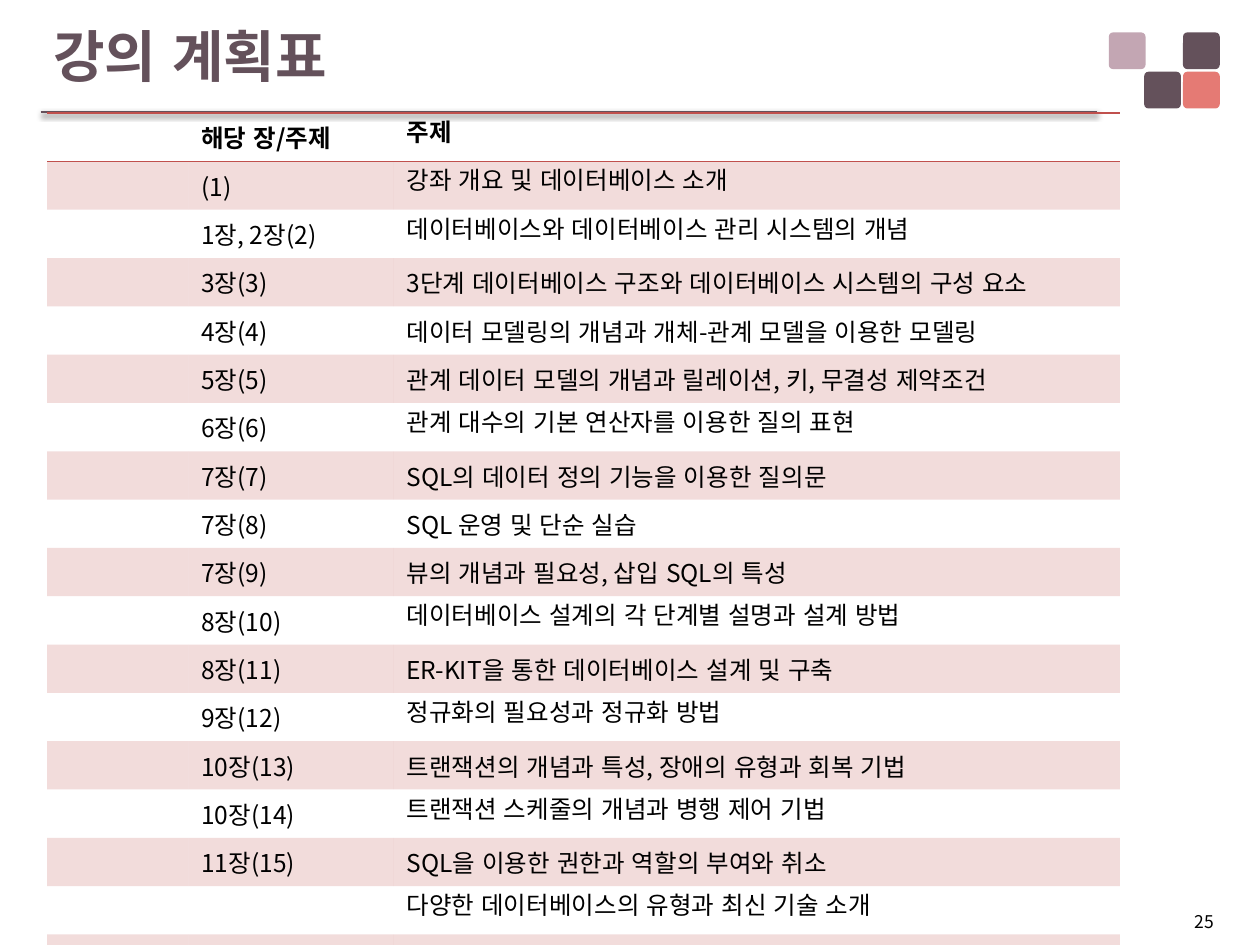
from lxml import etree
from pptx import Presentation
from pptx.dml.color import RGBColor
from pptx.enum.shapes import MSO_CONNECTOR, MSO_SHAPE
from pptx.enum.text import MSO_ANCHOR, PP_ALIGN
from pptx.oxml import parse_xml
from pptx.oxml.ns import nsdecls, qn
from pptx.util import Pt

PLUM, CORAL, MAUVE, RED = "64515B", "E57A74", "C3A6B3", "C0504D"
BODY_FONT, WIDE_FONT = "Noto Sans CJK KR", "Arial"


def color(value):
    return RGBColor.from_string(value)


def add_text(para, text, size, ink="000000", bold=False, latin=BODY_FONT):
    span = para.add_run()
    span.text = text
    span.font.size = Pt(size)
    span.font.name = latin
    span.font.bold = bold
    span.font.color.rgb = color(ink)
    # East Asian font, which also sets the width of the spaces
    etree.SubElement(span.font._element, qn("a:ea")).set("typeface", WIDE_FONT)


deck = Presentation()
deck.slide_width, deck.slide_height = Pt(720), Pt(540)
page = deck.slides.add_slide(deck.slide_layouts[6])

# Corner squares
for left, top, fill in [(676, 18.5, PLUM), (653.8, 41, PLUM),
                        (676, 41, CORAL), (633.6, 18.5, MAUVE)]:
    square = page.shapes.add_shape(
        MSO_SHAPE.ROUNDED_RECTANGLE, Pt(left), Pt(top), Pt(21), Pt(21))
    square.adjustments[0] = 0.12
    square.shadow.inherit = False
    square.fill.solid()
    square.fill.fore_color.rgb = color(fill)
    square.line.fill.background()

# Rule under the title, with a soft shadow
rule = page.shapes.add_connector(
    MSO_CONNECTOR.STRAIGHT, Pt(23.3), Pt(64), Pt(627), Pt(64))
rule.line.color.rgb = color(PLUM)
rule.line.width = Pt(1.5)
rule._element.spPr.append(parse_xml(
    f'<a:effectLst {nsdecls("a")}><a:outerShdw blurRad="{Pt(3.1)}" '
    f'dist="{Pt(1.6)}" dir="5400000" rotWithShape="0"><a:srgbClr val="000000">'
    '<a:alpha val="38000"/></a:srgbClr></a:outerShdw></a:effectLst>'))

# Page number
box = page.shapes.add_textbox(Pt(12.6), Pt(516.8), Pt(688.3), Pt(19.4))
box.text_frame.word_wrap = True
para = box.text_frame.paragraphs[0]
para.alignment = PP_ALIGN.RIGHT
add_text(para, "25", 10)

# Title
box = page.shapes.add_textbox(Pt(23.4), Pt(7.9), Pt(676.8), Pt(46.8))
box.text_frame.word_wrap = True
box.text_frame.vertical_anchor = MSO_ANCHOR.MIDDLE
add_text(box.text_frame.paragraphs[0], "강의 계획표", 32, PLUM, True, WIDE_FONT)

# Lecture plan
plan = [
    ("해당 장/주제", "주제"),
    ("(1)", "강좌 개요 및 데이터베이스 소개"),
    ("1장, 2장(2)", "데이터베이스와 데이터베이스 관리 시스템의 개념"),
    ("3장(3)", "3단계 데이터베이스 구조와 데이터베이스 시스템의 구성 요소"),
    ("4장(4)", "데이터 모델링의 개념과 개체-관계 모델을 이용한 모델링"),
    ("5장(5)", "관계 데이터 모델의 개념과 릴레이션, 키, 무결성 제약조건"),
    ("6장(6)", "관계 대수의 기본 연산자를 이용한 질의 표현"),
    ("7장(7)", "SQL의 데이터 정의 기능을 이용한 질의문"),
    ("7장(8)", "SQL 운영 및 단순 실습"),
    ("7장(9)", "뷰의 개념과 필요성, 삽입 SQL의 특성"),
    ("8장(10)", "데이터베이스 설계의 각 단계별 설명과 설계 방법"),
    ("8장(11)", "ER-KIT을 통한 데이터베이스 설계 및 구축"),
    ("9장(12)", "정규화의 필요성과 정규화 방법"),
    ("10장(13)", "트랜잭션의 개념과 특성, 장애의 유형과 회복 기법"),
    ("10장(14)", "트랜잭션 스케줄의 개념과 병행 제어 기법"),
    ("11장(15)", "SQL을 이용한 권한과 역할의 부여와 취소"),
    ("", "다양한 데이터베이스의 유형과 최신 기술 소개"),
    ("", ""),
]
last = len(plan) - 1
row_height = 27.63
table = page.shapes.add_table(
    len(plan), 3, Pt(26.9), Pt(64.6), Pt(613), Pt(row_height * len(plan))).table
table.first_row = table.horz_banding = False
# "No Style, No Grid" table style
table._tbl.tblPr.find(qn("a:tableStyleId")).text = (
    "{2D5ABB26-0587-4C30-8999-92F81FD0307C}")
for column, width in zip(table.columns, (80.9, 117.3, 414.8)):
    column.width = Pt(width)

for index, entry in enumerate(plan):
    table.rows[index].height = Pt(row_height)
    edges = {0: ("lnT", "lnB"), last: ("lnB",)}.get(index, ())
    for cell, text in zip(table.rows[index].cells, ("", *entry)):
        # Borders above and below the header and at the foot
        for edge in edges:
            cell._tc.get_or_add_tcPr().append(parse_xml(
                f'<a:{edge} {nsdecls("a")} w="{Pt(1)}"><a:solidFill>'
                f'<a:srgbClr val="{RED}"/></a:solidFill></a:{edge}>'))
        # Tint on every second row
        if index % 2:
            cell.fill.solid()
            cell.fill.fore_color.rgb = color(RED)
            tint = cell._tc.tcPr.find(qn("a:solidFill"))
            etree.SubElement(tint[0], qn("a:alpha")).set("val", "20000")
        else:
            cell.fill.background()
        para = cell.text_frame.paragraphs[0]
        if text:
            add_text(para, text, 14, bold=index == 0)
        else:
            # Empty cells keep the row height of the text size
            etree.SubElement(para._p, qn("a:endParaRPr")).set("sz", "1400")

deck.save("out.pptx")
